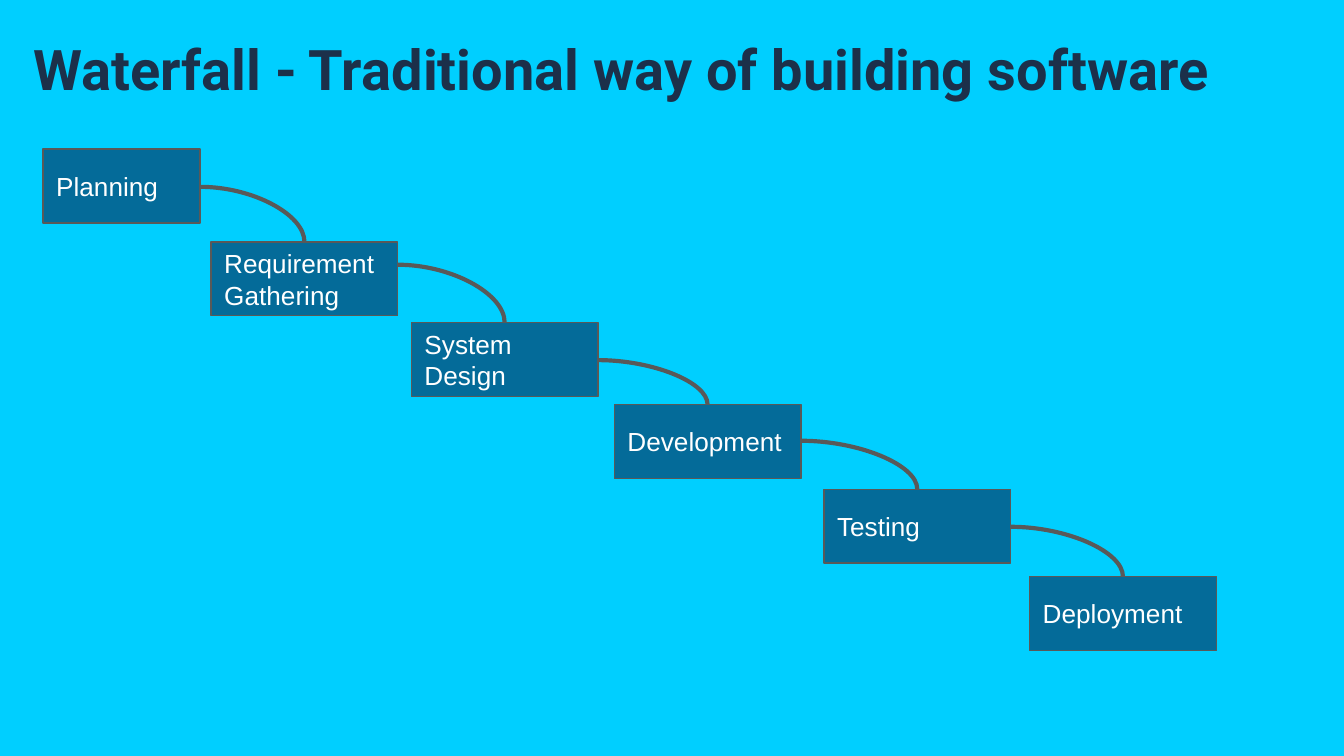
from itertools import pairwise

from lxml import etree
from pptx import Presentation
from pptx.dml.color import RGBColor
from pptx.enum import shapes, text
from pptx.oxml.ns import qn
from pptx.util import Inches, Pt

TITLE = "Waterfall - Traditional way of building software"
# label, left, top, width, height at which the flow leaves the right side
STAGES = [
    ("Planning", 0.32, 1.11, 1.17, 0.28),
    ("Requirement Gathering", 1.57, 1.8, 1.39, 0.17),
    ("System Design", 3.06, 2.4, 1.39, 0.28),
    ("Development", 4.57, 3.01, 1.39, 0.27),
    ("Testing", 6.13, 3.64, 1.39, 0.28),
    ("Deployment", 7.66, 4.29, 1.39, 0.28),
]
STAGE_HEIGHT = 0.55

THEME = {
    "background": RGBColor.from_string("00CFFF"),
    "stage": RGBColor.from_string("046B99"),
    "line": RGBColor.from_string("595959"),
    "title": {"font": "Roboto", "size": 30, "bold": True,
              "color": RGBColor.from_string("1C304A")},
    "label": {"font": "Arial", "size": 14, "bold": False,
              "color": RGBColor.from_string("FFFFFF")},
    "border": Pt(0.75),
    "flow": Pt(2.25),
}


def write(shape, content, *, font, size, bold, color):
    frame = shape.text_frame
    frame.word_wrap = True
    frame.vertical_anchor = text.MSO_ANCHOR.MIDDLE
    frame.margin_left = frame.margin_right = Inches(0.1)
    frame.margin_top = frame.margin_bottom = Inches(0.1)
    para = frame.paragraphs[0]
    para.alignment = text.PP_ALIGN.LEFT
    span = para.add_run()
    span.text = content
    span.font.name = font
    span.font.size = Pt(size)
    span.font.bold = bold
    span.font.color.rgb = color


def add_stage(page, label, left, top, width):
    box = page.shapes.add_shape(
        shapes.MSO_SHAPE.RECTANGLE,
        *map(Inches, (left, top, width, STAGE_HEIGHT)))
    box.shadow.inherit = False
    box.fill.solid()
    box.fill.fore_color.rgb = THEME["stage"]
    box.line.color.rgb = THEME["line"]
    box.line.width = THEME["border"]
    write(box, label, **THEME["label"])


def add_flow(page, start, end):
    """Draw a quarter-turn curve that leaves sideways and arrives from above."""
    flow = page.shapes.add_connector(
        shapes.MSO_CONNECTOR.CURVE, *map(Inches, (*start, *end)))
    flow.line.color.rgb = THEME["line"]
    flow.line.width = THEME["flow"]
    properties = flow._element.spPr
    properties.find(qn("a:prstGeom")).set("prst", "curvedConnector2")
    etree.SubElement(properties, qn("a:effectLst"))


def main():
    deck = Presentation()
    deck.slide_width = Inches(10)
    deck.slide_height = deck.slide_width * 9 // 16
    page = deck.slides.add_slide(deck.slide_layouts[6])
    page.background.fill.solid()
    page.background.fill.fore_color.rgb = THEME["background"]

    heading = page.shapes.add_textbox(*map(Inches, (0.15, 0, 10, 1.01)))
    write(heading, TITLE, **THEME["title"])

    for label, left, top, width, _ in STAGES:
        add_stage(page, label, left, top, width)
    for source, target in pairwise(STAGES):
        _, left, top, width, exit_height = source
        _, next_left, next_top, next_width, _ = target
        add_flow(page, (left + width, top + exit_height),
                 (next_left + next_width / 2, next_top))

    deck.save("out.pptx")


if __name__ == "__main__":
    main()
